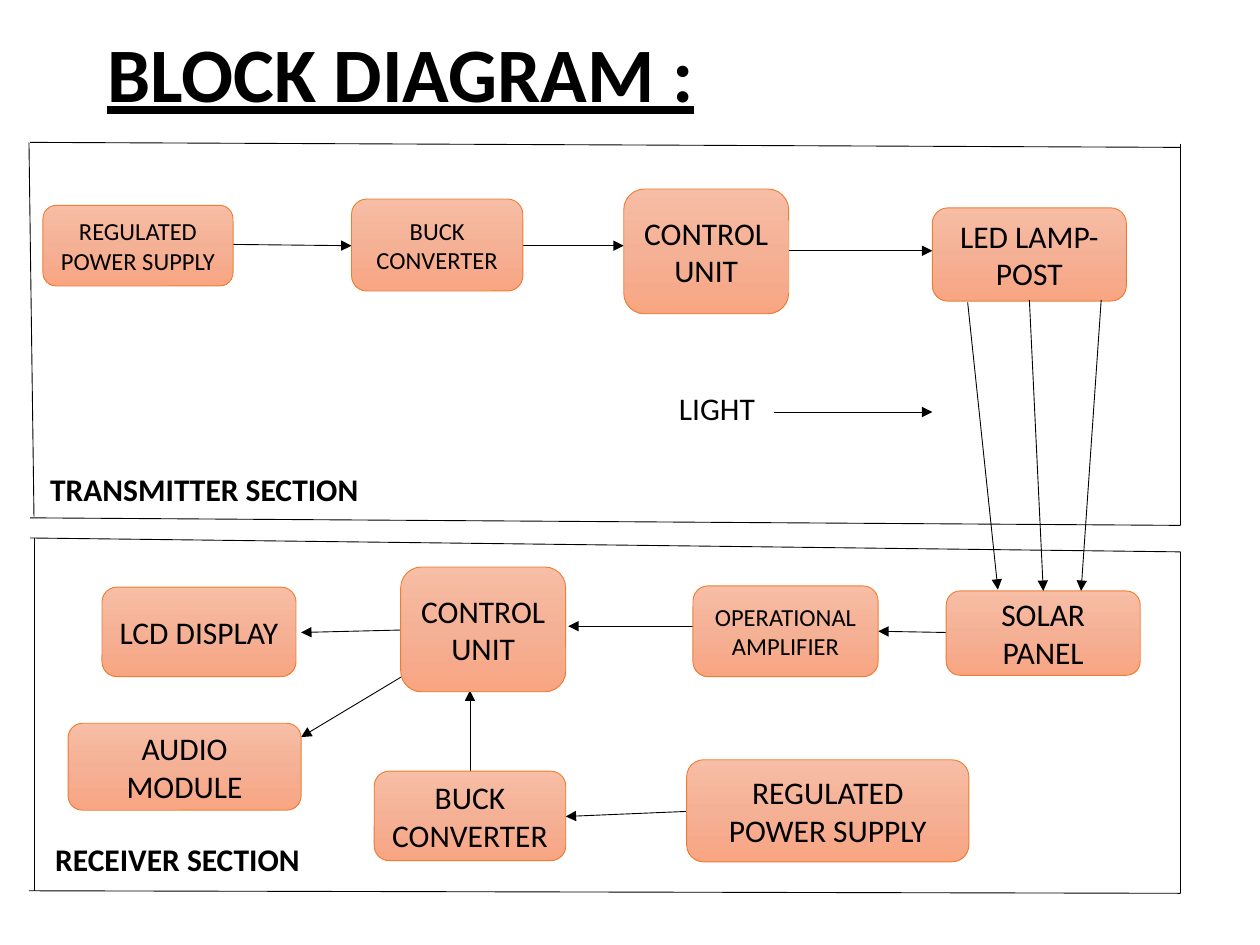
from copy import deepcopy
from lxml.etree import SubElement
from pptx import Presentation
from pptx.dml.color import RGBColor
from pptx.enum.shapes import MSO_CONNECTOR, MSO_SHAPE
from pptx.enum.text import MSO_ANCHOR, MSO_AUTO_SIZE, PP_ALIGN
from pptx.oxml.ns import qn
from pptx.util import Inches, Pt

HUES = {"ink": "000000", "edge": "ED7D31", "top": "F7BDA5", "mid": "F5B196", "low": "F8A582"}
COLS, ROWS = 100, 75
WIDE, HIGH = Inches(10), Inches(7.5)


def hue(name):
    return RGBColor.from_string(HUES[name])


def place(box, x, y):
    return round((box[0] + x) * WIDE / COLS), round((box[1] + y) * HIGH / ROWS)


def span(box, x, y, w, h):
    left, top = place(box, x, y)
    return left, top, round(w * WIDE / COLS), round(h * HIGH / ROWS)


def style(item, values):
    for key, value in values.items():
        setattr(item, key, value)


def write(shape, text, size, frame, para=None, **font):
    body = shape.text_frame
    body.text = text
    style(body, {"auto_size": MSO_AUTO_SIZE.NONE, **frame})
    first = body.paragraphs[0]
    style(first, para or {})
    style(first.font, {"name": "Calibri", "size": Pt(size), **font})
    first.font.color.rgb = hue("ink")


def line(slide, box, ends, arrow=False):
    x, y, u, v = ends
    link = slide.shapes.add_connector(MSO_CONNECTOR.STRAIGHT, *place(box, x, y), *place(box, u, v))
    link.line.color.rgb = hue("ink")
    link.line.width = Pt(0.5)
    props = link.element.spPr
    if arrow:
        SubElement(props.find(qn("a:ln")), qn("a:tailEnd"), type="triangle")
    SubElement(props, qn("a:effectLst"))


def shade(fill):
    fill.gradient()
    fill.gradient_angle = 270
    first, last = fill.gradient_stops
    first.color.rgb, last.color.rgb = hue("top"), hue("low")
    first.position, last.position = 0, 1


def block(slide, box, text, size, area):
    shape = slide.shapes.add_shape(MSO_SHAPE.ROUNDED_RECTANGLE, *span(box, *area))
    shape.shadow.inherit = False
    shade(shape.fill)
    stops = shape.element.spPr.find(".//" + qn("a:gsLst"))
    stops.insert(1, deepcopy(stops[0]))
    stop = shape.fill.gradient_stops[1]
    stop.position = 0.5
    stop.color.rgb = hue("mid")
    shape.line.color.rgb = hue("edge")
    shape.line.width = Pt(0.5)
    write(shape, text, size, {"word_wrap": True, "vertical_anchor": MSO_ANCHOR.MIDDLE},
          {"alignment": PP_ALIGN.CENTER})


def label(slide, box, text, area, wrap=False, bold=True):
    shape = slide.shapes.add_textbox(*span(box, *area))
    write(shape, text, 18, {"word_wrap": wrap}, bold=bold)


def section(slide, box, sides, arrows, blocks):
    for ends in sides:
        line(slide, box, ends)
    for ends in arrows:
        line(slide, box, ends, True)
    for text, size, area in blocks:
        block(slide, box, text, size, area)


def sender(slide, box):
    section(
        slide, box,
        [(0, 0, 91.3, 0.4), (-0.1, 0, 0.3, 29.7), (0, 29.8, 91.3, 30.4), (91.3, 0.1, 91.3, 30.4)],
        [(16, 8.1, 25.5, 8.2), (36.7, 8.2, 47.1, 8.2), (60.2, 8.6, 71.6, 8.6),
         (59, 21.4, 71.6, 21.4)],
        [("REGULATED POWER SUPPLY", 14, (1, 5, 15.1, 6.4)),
         ("BUCK CONVERTER", 14, (25.5, 4.5, 13.6, 7.3)),
         ("CONTROL UNIT", 18, (47.1, 3.7, 13.1, 9.9)),
         ("LED LAMP- POST", 18, (71.6, 5.2, 15.4, 7.4))])
    label(slide, box, "LIGHT", (50.5, 19.1, 12.8, 4), True, False)
    label(slide, box, "TRANSMITTER SECTION", (0.6, 25.5, 26.7, 4))


def taker(slide, box):
    section(
        slide, box,
        [(0, 0, 91.3, 1.1), (0.3, 0, 0.3, 28), (91.3, 28.2, -0.1, 28), (91.3, 1.1, 91.3, 28.2)],
        [(72.7, 7.5, 67.3, 7.4), (52.6, 7, 42.7, 7), (29.5, 7.3, 21.5, 7.5),
         (29.5, 11, 21.5, 15.8), (52.1, 21.7, 42.5, 22.1), (34.9, 18.5, 34.9, 12.1)],
        [("SOLAR PANEL", 18, (72.7, 4.2, 15.4, 6.7)),
         ("OPERATIONAL AMPLIFIER", 14, (52.6, 3.8, 14.7, 7.2)),
         ("CONTROL UNIT", 18, (29.4, 2.3, 13.1, 9.9)),
         ("LCD DISPLAY", 18, (5.7, 3.9, 15.4, 7.1)),
         ("AUDIO MODULE", 18, (3, 14.7, 18.5, 6.9)),
         ("BUCK CONVERTER", 18, (27.3, 18.5, 15.2, 7.1)),
         ("REGULATED POWER SUPPLY", 18, (52.1, 17.6, 22.4, 8.1))])
    label(slide, box, "RECEIVER SECTION", (1, 23.5, 21.6, 7.1))


def beam(slide, box):
    for ends in [(0, 0.2, 2.4, 23), (4.9, 0, 6, 23.1), (10.6, 0, 9, 23.1)]:
        line(slide, box, ends, True)


def head(slide, box):
    title = slide.shapes.title
    left, top, width, height = span(box, 0, 0, 86.2, 14.5)
    style(title, {"left": left, "top": top, "width": width, "height": height})
    write(title, "BLOCK DIAGRAM :", 44, {"word_wrap": True, "vertical_anchor": MSO_ANCHOR.MIDDLE},
          {"alignment": PP_ALIGN.LEFT, "line_spacing": 0.9}, bold=True, underline=True)


def main():
    deck = Presentation()
    style(deck, {"slide_width": WIDE, "slide_height": HIGH})
    slide = deck.slides.add_slide(deck.slide_layouts[5])
    head(slide, (7.5, -1.1))
    sender(slide, (2.4, 11.3))
    taker(slide, (2.4, 42.7))
    beam(slide, (76.8, 23.8))
    deck.save("out.pptx")


if __name__ == "__main__":
    main()
